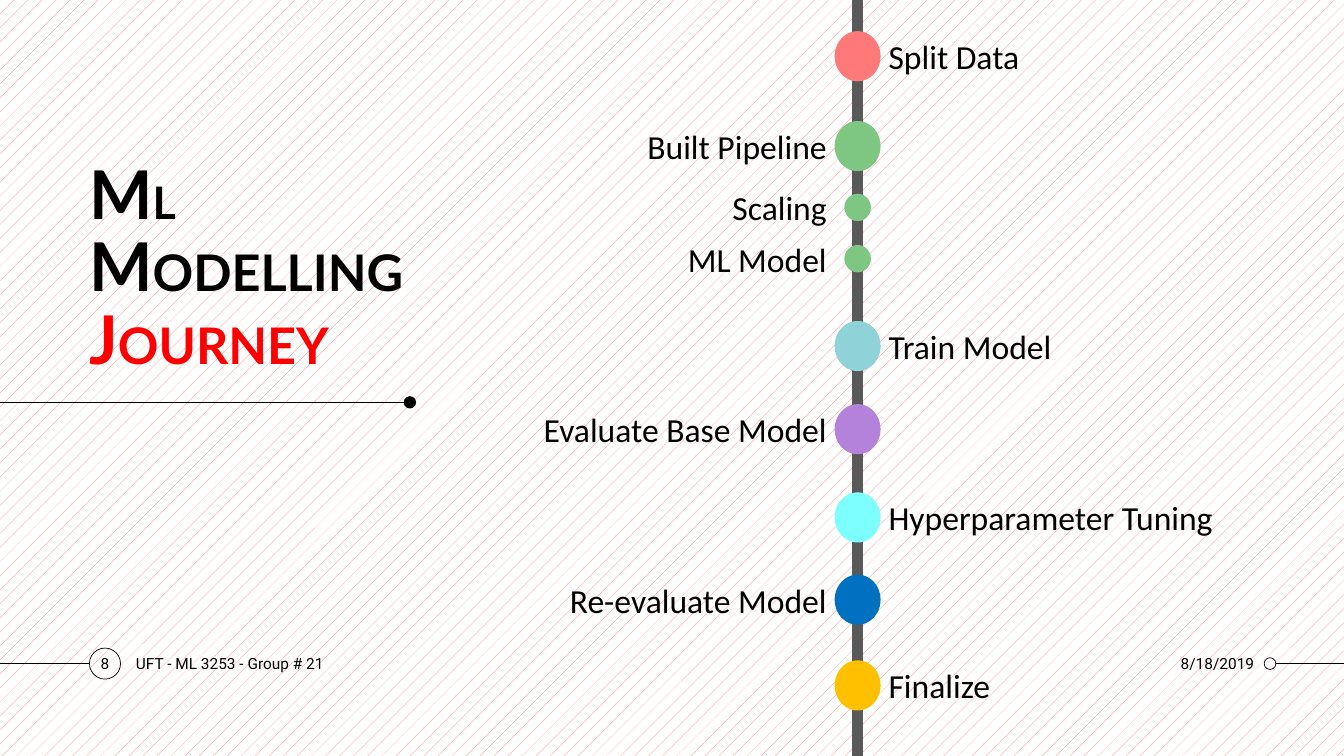
from dataclasses import dataclass

from lxml.etree import SubElement
from pptx import Presentation
from pptx.dml.color import RGBColor
from pptx.enum.dml import MSO_PATTERN
from pptx.enum.shapes import MSO_CONNECTOR, MSO_SHAPE
from pptx.enum.text import MSO_ANCHOR, MSO_AUTO_SIZE, PP_ALIGN
from pptx.oxml.ns import qn
from pptx.util import Inches, Pt


@dataclass(frozen=True)
class Theme:
    ink: str = "000000"
    accent: str = "FF0000"
    paper: str = "FFFFFF"
    hatch: str = "FF7979"
    spine: str = "595959"
    split: str = "FF7979"
    pipeline: str = "7EC782"
    train: str = "8FD2D7"
    evaluate: str = "B482DA"
    tuning: str = "7EFFFF"
    reevaluate: str = "0070C0"
    finalize: str = "FFC000"
    title_font: str = "Lato"
    label_font: str = "Calibri"
    footer_font: str = "Roboto"
    capital: int = 48
    small_capital: int = 36
    tiny_capital: int = 32
    label: int = 24
    footer: int = 11


THEME = Theme()
WIDTH, HEIGHT = Inches(13.333), Inches(7.5)
COLUMNS, ROWS = 160, 90
SPINE_COLUMN = 102.1
FOOTER_ROW = 79
LABEL_WIDTH, LABEL_HEIGHT = 42.6, 6
LEFT_LABEL_END, RIGHT_LABEL_START = 99.6, 104.6
MILESTONE, SUBSTEP = (5.3, 5.8), (3, 3.1)

STEPS = [
    ("Split Data", 6.7, "right", MILESTONE, THEME.split),
    ("Built Pipeline", 17.4, "left", MILESTONE, THEME.pipeline),
    ("Scaling", 24.7, "left", SUBSTEP, THEME.pipeline),
    ("ML Model", 30.8, "left", SUBSTEP, THEME.pipeline),
    ("Train Model", 41.2, "right", MILESTONE, THEME.train),
    ("Evaluate Base Model", 51.1, "left", MILESTONE, THEME.evaluate),
    ("Hyperparameter Tuning", 61.6, "right", MILESTONE, THEME.tuning),
    ("Re-evaluate Model", 71.4, "left", MILESTONE, THEME.reevaluate),
    ("Finalize", 81.6, "right", MILESTONE, THEME.finalize),
]


def across(columns):
    return int(WIDTH * columns / COLUMNS)


def down(rows):
    return int(HEIGHT * rows / ROWS)


def write(para, text, font, size, color=THEME.ink, bold=False):
    span = para.add_run()
    span.text = text
    span.font.name = font
    span.font.size = Pt(size)
    span.font.bold = bold
    span.font.color.rgb = RGBColor.from_string(color)


class Canvas:
    def __init__(self, page, theme):
        self.page = page
        self.theme = theme

    def background(self):
        fill = self.page.background.fill
        fill.patterned()
        fill.pattern = MSO_PATTERN.PERCENT_5
        fill.fore_color.rgb = RGBColor.from_string(self.theme.hatch)
        fill.back_color.rgb = RGBColor.from_string(self.theme.paper)

    def title(self, left, top, width, height, lines):
        box = self.page.shapes.title
        box.left, box.top = across(left), down(top)
        box.width, box.height = across(width), down(height)
        frame = box.text_frame
        frame.margin_left = frame.margin_right = 0
        frame.margin_top = frame.margin_bottom = 0
        frame.word_wrap = True
        frame.auto_size = MSO_AUTO_SIZE.NONE
        frame.vertical_anchor = MSO_ANCHOR.BOTTOM
        para = frame.paragraphs[0]
        para.alignment = PP_ALIGN.LEFT
        para.line_spacing = 0.9
        for index, (initial, rest, size, color) in enumerate(lines):
            if index:
                para.add_line_break()
            style = dict(font=self.theme.title_font, color=color, bold=True)
            write(para, initial, size=self.theme.capital, **style)
            write(para, rest, size=size, **style)

    def shape(self, kind, column, row, width, height, fill=None, line=None, weight=1):
        shape = self.page.shapes.add_shape(
            kind, across(column - width / 2), down(row - height / 2),
            across(width), down(height))
        shape.shadow.inherit = False
        if fill:
            shape.fill.solid()
            shape.fill.fore_color.rgb = RGBColor.from_string(fill)
        else:
            shape.fill.background()
        shape.line.color.rgb = RGBColor.from_string(line or fill)
        shape.line.width = Pt(weight)

    def rule(self, start, end, row):
        rule = self.page.shapes.add_connector(
            MSO_CONNECTOR.STRAIGHT, across(start), down(row), across(end), down(row))
        rule.line.color.rgb = RGBColor.from_string(self.theme.ink)
        rule.line.width = Pt(0.5)
        SubElement(rule.line._get_or_add_ln().getparent(), qn("a:effectLst"))

    def text(self, text, left, row, width, height, align, **style):
        box = self.page.shapes.add_textbox(
            across(left), down(row - height / 2), across(width), down(height))
        frame = box.text_frame
        frame.word_wrap = True
        frame.vertical_anchor = MSO_ANCHOR.MIDDLE
        para = frame.paragraphs[0]
        para.alignment = align
        write(para, text, **style)

    def step(self, text, row, side, size, color):
        self.shape(MSO_SHAPE.OVAL, SPINE_COLUMN, row, *size, fill=color)
        if side == "right":
            left, align = RIGHT_LABEL_START, PP_ALIGN.LEFT
        else:
            left, align = LEFT_LABEL_END - LABEL_WIDTH, PP_ALIGN.RIGHT
        self.text(text, left, row, LABEL_WIDTH, LABEL_HEIGHT, align,
                  font=self.theme.label_font, size=self.theme.label)

    def footer(self):
        ink = self.theme.ink
        self.shape(MSO_SHAPE.OVAL, 12.5, FOOTER_ROW, 3.7, 3.7, line=ink, weight=0.5)
        self.shape(MSO_SHAPE.OVAL, 151.2, FOOTER_ROW, 1.4, 1.4, line=ink, weight=0.5)
        self.rule(0, 10.6, FOOTER_ROW)
        self.rule(151.9, COLUMNS, FOOTER_ROW)
        for text, left, width, align in (
            ("8/18/2019", 114.5, 36, PP_ALIGN.RIGHT),
            ("UFT - ML 3253 - Group # 21", 15, 54, PP_ALIGN.LEFT),
            ("8", 10, 5, PP_ALIGN.CENTER),
        ):
            self.text(text, left, FOOTER_ROW, width, 4.8, align,
                      font=self.theme.footer_font, size=self.theme.footer)


def main():
    deck = Presentation()
    deck.slide_width, deck.slide_height = WIDTH, HEIGHT
    canvas = Canvas(deck.slides.add_slide(deck.slide_layouts[5]), THEME)
    canvas.background()
    canvas.title(10.6, 18.7, 52.3, 26.4, [
        ("M", "L", THEME.tiny_capital, THEME.ink),
        ("M", "ODELLING", THEME.small_capital, THEME.ink),
        ("J", "OURNEY", THEME.small_capital, THEME.accent),
    ])
    canvas.rule(0, 48.2, 47.9)
    canvas.shape(MSO_SHAPE.OVAL, 48.8, 47.9, 1.3, 1.3, fill=THEME.ink)
    canvas.footer()
    canvas.shape(MSO_SHAPE.RECTANGLE, SPINE_COLUMN, ROWS / 2, 1.2, ROWS, fill=THEME.spine)
    for step in STEPS:
        canvas.step(*step)
    deck.save("out.pptx")


if __name__ == "__main__":
    main()
